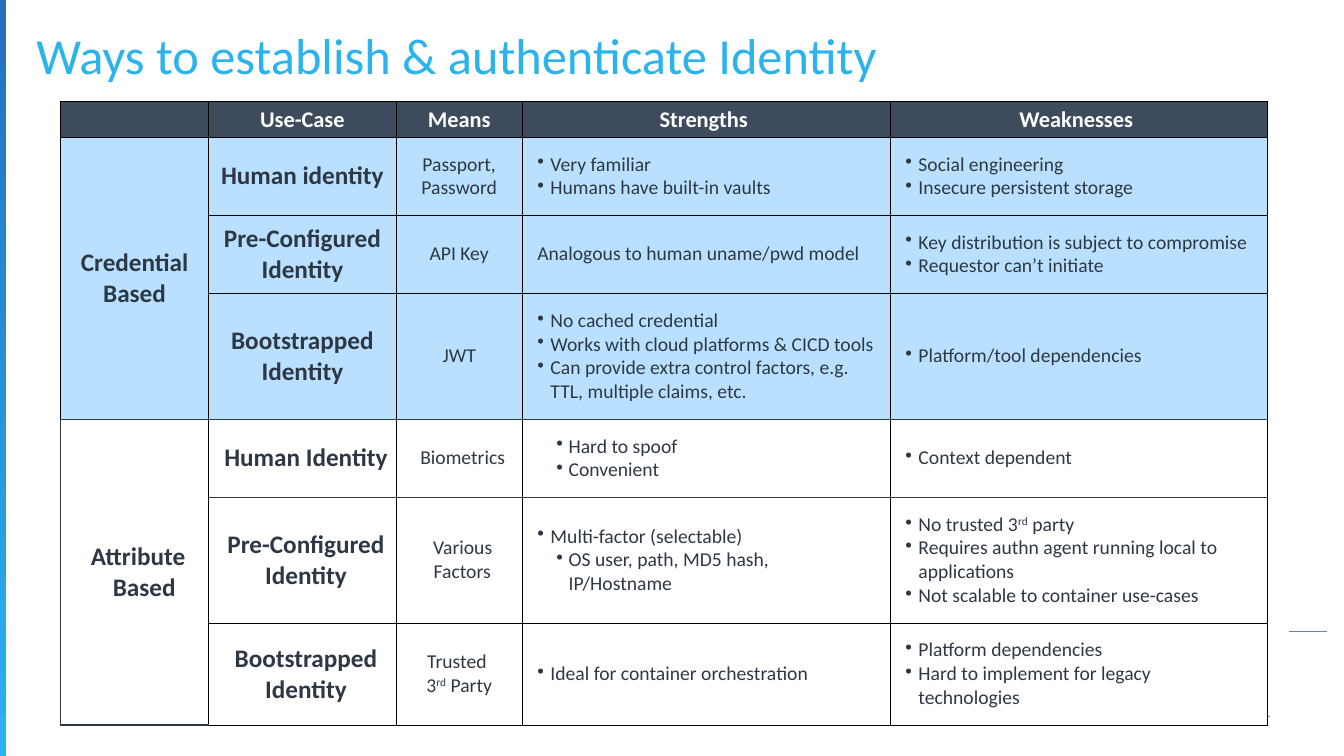
"""Build the slide that compares ways to establish and authenticate identity."""
from dataclasses import dataclass

import lxml.etree
import pptx
import pptx.dml.color
import pptx.enum.shapes
import pptx.enum.text
import pptx.oxml.ns
import pptx.presentation
import pptx.slide
import pptx.table
import pptx.text.text
import pptx.util

EMU_PER_PX = 9144
FONT = "Calibri"
SKY = pptx.dml.color.RGBColor(0x2B, 0xB3, 0xEE)
BLUE = pptx.dml.color.RGBColor(0x26, 0x6F, 0xB8)
RULE_GREY = pptx.dml.color.RGBColor(0x6E, 0x88, 0x97)
HEADER_FILL = pptx.dml.color.RGBColor(0x3E, 0x4B, 0x5C)
CREDENTIAL_FILL = pptx.dml.color.RGBColor(0xB9, 0xE0, 0xFF)
WHITE = pptx.dml.color.RGBColor(0xFF, 0xFF, 0xFF)
BLACK = pptx.dml.color.RGBColor(0, 0, 0)
INK = pptx.dml.color.RGBColor(0x2E, 0x38, 0x44)

COLUMN_WIDTHS = [147, 186, 125, 365, 374]
ROW_HEIGHTS = [34, 77, 77, 125, 77, 125, 101]
HEADINGS = ["", "Use-Case", "Means", "Strengths ", "Weaknesses "]
GROUP_SIZE = 3
ATTRIBUTE_ROW = 1 + GROUP_SIZE


@dataclass(frozen=True)
class Layout:
    """Say how the paragraphs of a cell are set."""

    size: int
    bold: bool = False
    centred: bool = False
    margin: int = 0
    indent: int = 0
    bullet: bool = False


@dataclass(frozen=True)
class Item:
    """Hold one paragraph; text between carets is raised."""

    text: str
    layout: Layout


@dataclass(frozen=True)
class Edge:
    """Describe a cell border."""

    color: pptx.dml.color.RGBColor
    points: float


THIN = Edge(BLACK, 0.75)
STRONG = Edge(INK, 1)
HEADING = Layout(16, bold=True, centred=True)
LABEL = Layout(18, bold=True, centred=True)
SHIFTED_LABEL = Layout(18, bold=True, centred=True, margin=19, indent=-12)
MEANS = Layout(14, centred=True)
SHIFTED_MEANS = Layout(14, centred=True, margin=6, indent=1)
PLAIN = Layout(14)
BULLET = Layout(14, margin=13, indent=-13, bullet=True)
NESTED = Layout(14, margin=31, indent=-12, bullet=True)


def items(layout: Layout, *texts: str) -> list[Item]:
    """Give every text the same layout."""
    return [Item(text, layout) for text in texts]


GROUP_LABELS = {
    1: items(LABEL, "Credential", "Based"),
    ATTRIBUTE_ROW: items(SHIFTED_LABEL, "Attribute Based"),
}
IDENTITY_ROWS = [
    [items(LABEL, "Human identity"),
     items(MEANS, "Passport, Password"),
     items(BULLET, "Very familiar", "Humans have built-in vaults"),
     items(BULLET, "Social engineering", "Insecure persistent storage")],
    [items(LABEL, "Pre-Configured", "Identity"),
     items(MEANS, "API Key"),
     items(PLAIN, "Analogous to human uname/pwd model"),
     items(BULLET, "Key distribution is subject to compromise", "Requestor can’t initiate")],
    [items(LABEL, "Bootstrapped Identity"),
     items(MEANS, "JWT"),
     items(BULLET, "No cached credential", "Works with cloud platforms & CICD tools",
           "Can provide extra control factors, e.g. TTL, multiple claims, etc."),
     items(BULLET, "Platform/tool dependencies")],
    [items(SHIFTED_LABEL, "Human Identity"),
     items(SHIFTED_MEANS, "Biometrics"),
     items(NESTED, "Hard to spoof", "Convenient"),
     items(BULLET, "Context dependent")],
    [items(SHIFTED_LABEL, "Pre-Configured", "Identity"),
     items(SHIFTED_MEANS, "Various Factors"),
     items(BULLET, "Multi-factor (selectable)")
     + items(NESTED, "OS user, path, MD5 hash, IP/Hostname"),
     items(BULLET, "No trusted 3^rd^ party", "Requires authn agent running local to applications",
           "Not scalable to container use-cases")],
    [items(SHIFTED_LABEL, "Bootstrapped", "Identity"),
     items(MEANS, "Trusted \v3^rd^ Party"),
     items(BULLET, "Ideal for container orchestration"),
     items(BULLET, "Platform dependencies", "Hard to implement for legacy technologies")],
]


def px(length: int) -> pptx.util.Emu:
    """Turn px into EMU."""
    return pptx.util.Emu(length * EMU_PER_PX)


def write_paragraph(paragraph: pptx.text.text._Paragraph, item: Item,
                    color: pptx.dml.color.RGBColor) -> None:
    """Write one paragraph with its indent, bullet and font."""
    layout = item.layout
    opening, *pieces = item.text.split("^")
    paragraph.text = opening
    for position, piece in enumerate(pieces):
        run = paragraph.add_run()
        run.text = piece
        if position % 2 == 0:
            run._r.get_or_add_rPr().set("baseline", "30000")
    properties = paragraph._p.get_or_add_pPr()
    properties.set("marL", str(px(layout.margin)))
    properties.set("indent", str(px(layout.indent)))
    if layout.bullet:
        bullet = lxml.etree.SubElement(properties, pptx.oxml.ns.qn("a:buChar"))
        bullet.set("char", "•")
    if layout.centred:
        paragraph.alignment = pptx.enum.text.PP_ALIGN.CENTER
    paragraph.font.name = FONT
    paragraph.font.size = pptx.util.Pt(layout.size)
    paragraph.font.bold = layout.bold
    paragraph.font.color.rgb = color


def draw_edges(cell: pptx.table._Cell, row: int, column: int) -> None:
    """Rule the four sides of a cell, stronger around the attribute group."""
    strong_levels = {ATTRIBUTE_ROW, ATTRIBUTE_ROW + 1}
    if column == 0:
        strong_levels = {ATTRIBUTE_ROW, len(ROW_HEIGHTS)}
    below = row + (cell.span_height if cell.is_merge_origin else 1)
    strong_sides = {
        "lnL": column == 0 and row >= ATTRIBUTE_ROW,
        "lnR": False,
        "lnT": row in strong_levels,
        "lnB": below in strong_levels,
    }
    properties = cell._tc.get_or_add_tcPr()
    for side, is_strong in strong_sides.items():
        edge = STRONG if is_strong else THIN
        line = lxml.etree.SubElement(properties, pptx.oxml.ns.qn(f"a:{side}"))
        line.set("w", str(pptx.util.Pt(edge.points)))
        solid = lxml.etree.SubElement(line, pptx.oxml.ns.qn("a:solidFill"))
        lxml.etree.SubElement(solid, pptx.oxml.ns.qn("a:srgbClr")).set("val", str(edge.color))


def fill_cell(cell: pptx.table._Cell, row: int, column: int, content: list[Item]) -> None:
    """Set the borders, fill, margins and text of a cell."""
    draw_edges(cell, row, column)
    cell.fill.solid()
    cell.fill.fore_color.rgb = (
        HEADER_FILL if row == 0 else CREDENTIAL_FILL if row < ATTRIBUTE_ROW else WHITE)
    cell.vertical_anchor = pptx.enum.text.MSO_ANCHOR.MIDDLE
    is_list = row > 0 and column >= 3
    cell.margin_left = cell.margin_right = px(15 if is_list else 7)
    cell.margin_top = cell.margin_bottom = px(15 if is_list else 4)
    for position, item in enumerate(content):
        frame = cell.text_frame
        paragraph = frame.paragraphs[0] if position == 0 else frame.add_paragraph()
        write_paragraph(paragraph, item, WHITE if row == 0 else INK)


def add_identity_table(slide: pptx.slide.Slide) -> None:
    """Add the table of identity methods."""
    rows = [[items(HEADING, heading) for heading in HEADINGS]]
    rows += [[GROUP_LABELS.get(row, []), *cells] for row, cells in enumerate(IDENTITY_ROWS, 1)]
    table = slide.shapes.add_table(
        len(rows), len(COLUMN_WIDTHS), px(60), px(101),
        px(sum(COLUMN_WIDTHS)), px(sum(ROW_HEIGHTS))).table
    table.first_row = table.horz_banding = False
    for column, width in zip(table.columns, COLUMN_WIDTHS):
        column.width = px(width)
    for row, height in zip(table.rows, ROW_HEIGHTS):
        row.height = px(height)
    for start in GROUP_LABELS:
        table.cell(start, 0).merge(table.cell(start + GROUP_SIZE - 1, 0))
    for row, contents in enumerate(rows):
        for column, content in enumerate(contents):
            fill_cell(table.cell(row, column), row, column, content)


def add_title(slide: pptx.slide.Slide) -> None:
    """Place and format the title."""
    title = slide.shapes.title
    title.left, title.top, title.width, title.height = px(36), px(36), px(1263), px(44)
    frame = title.text_frame
    frame.margin_left = frame.margin_right = frame.margin_top = frame.margin_bottom = 0
    frame.vertical_anchor = pptx.enum.text.MSO_ANCHOR.MIDDLE
    frame.auto_size = pptx.enum.text.MSO_AUTO_SIZE.NONE
    heading = frame.paragraphs[0]
    heading.text = "Ways to establish & authenticate Identity"
    heading.alignment = pptx.enum.text.PP_ALIGN.LEFT
    heading.line_spacing = 0.9
    heading.font.name = FONT
    heading.font.size = pptx.util.Pt(36)
    heading.font.color.rgb = SKY


def add_side_bar(slide: pptx.slide.Slide) -> None:
    """Add the gradient bar on the left edge."""
    bar = slide.shapes.add_shape(
        pptx.enum.shapes.MSO_SHAPE.RECTANGLE, 0, 0, px(6), px(750))
    bar.shadow.inherit = False
    bar.line.fill.background()
    bar.fill.gradient()
    bar.fill.gradient_angle = 315
    for stop, color in zip(bar.fill.gradient_stops, (BLUE, SKY)):
        stop.color.rgb = color


def add_rule(slide: pptx.slide.Slide, left: int, right: int, top: int) -> None:
    """Add a thin horizontal rule."""
    rule = slide.shapes.add_connector(
        pptx.enum.shapes.MSO_CONNECTOR.STRAIGHT, px(left), px(top), px(right), px(top))
    rule.line.color.rgb = RULE_GREY
    rule.line.width = pptx.util.Pt(0.5)
    lxml.etree.SubElement(rule._element.spPr, pptx.oxml.ns.qn("a:effectLst"))


def main() -> None:
    """Build and save the slide."""
    deck = pptx.Presentation()
    deck.slide_width, deck.slide_height = px(1333), px(750)
    slide = deck.slides.add_slide(deck.slide_layouts[5])
    add_side_bar(slide)
    add_rule(slide, 1278, 1316, 626)
    add_rule(slide, 1120, 1260, 711)
    add_title(slide)
    add_identity_table(slide)
    deck.save("out.pptx")


if __name__ == "__main__":
    main()
